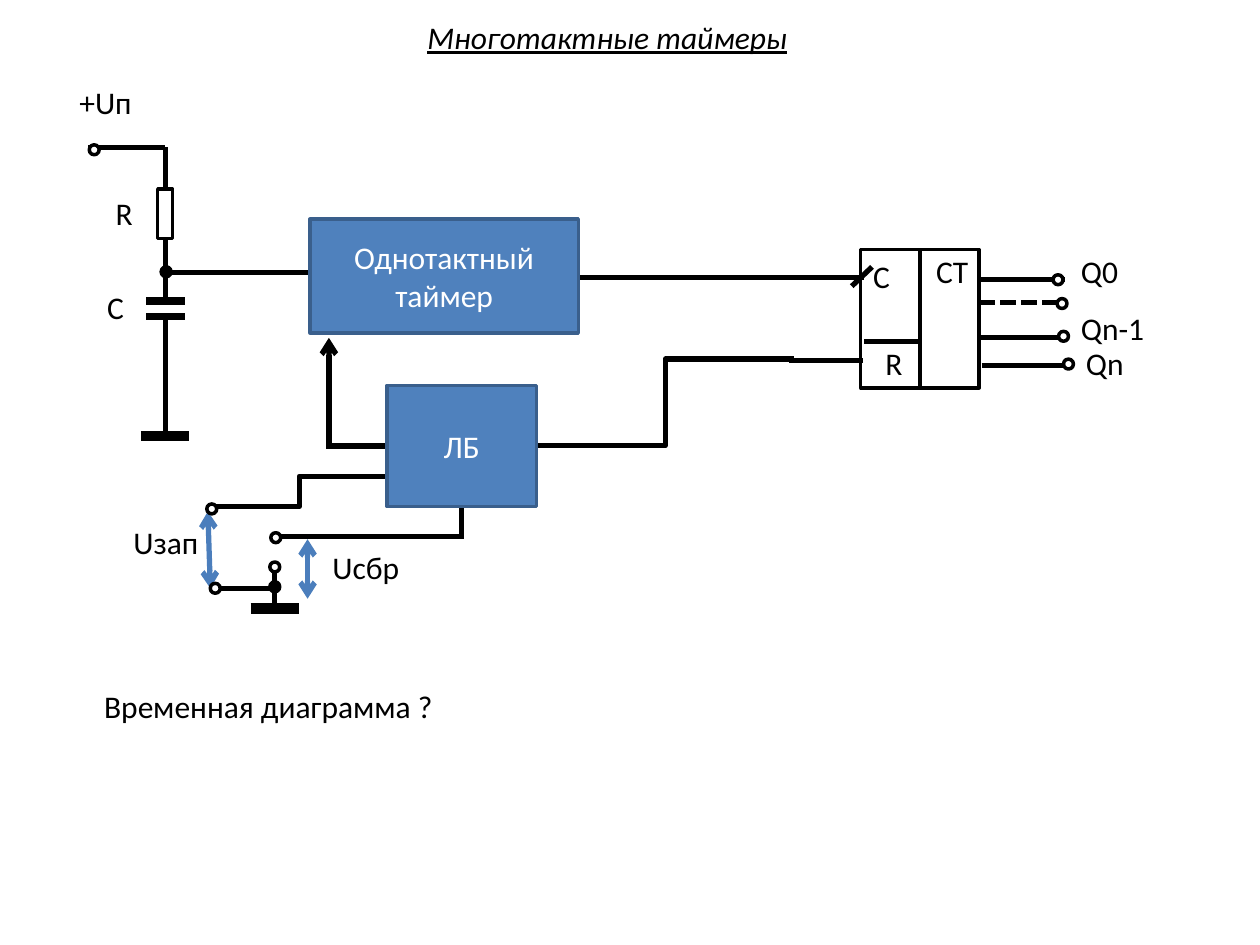
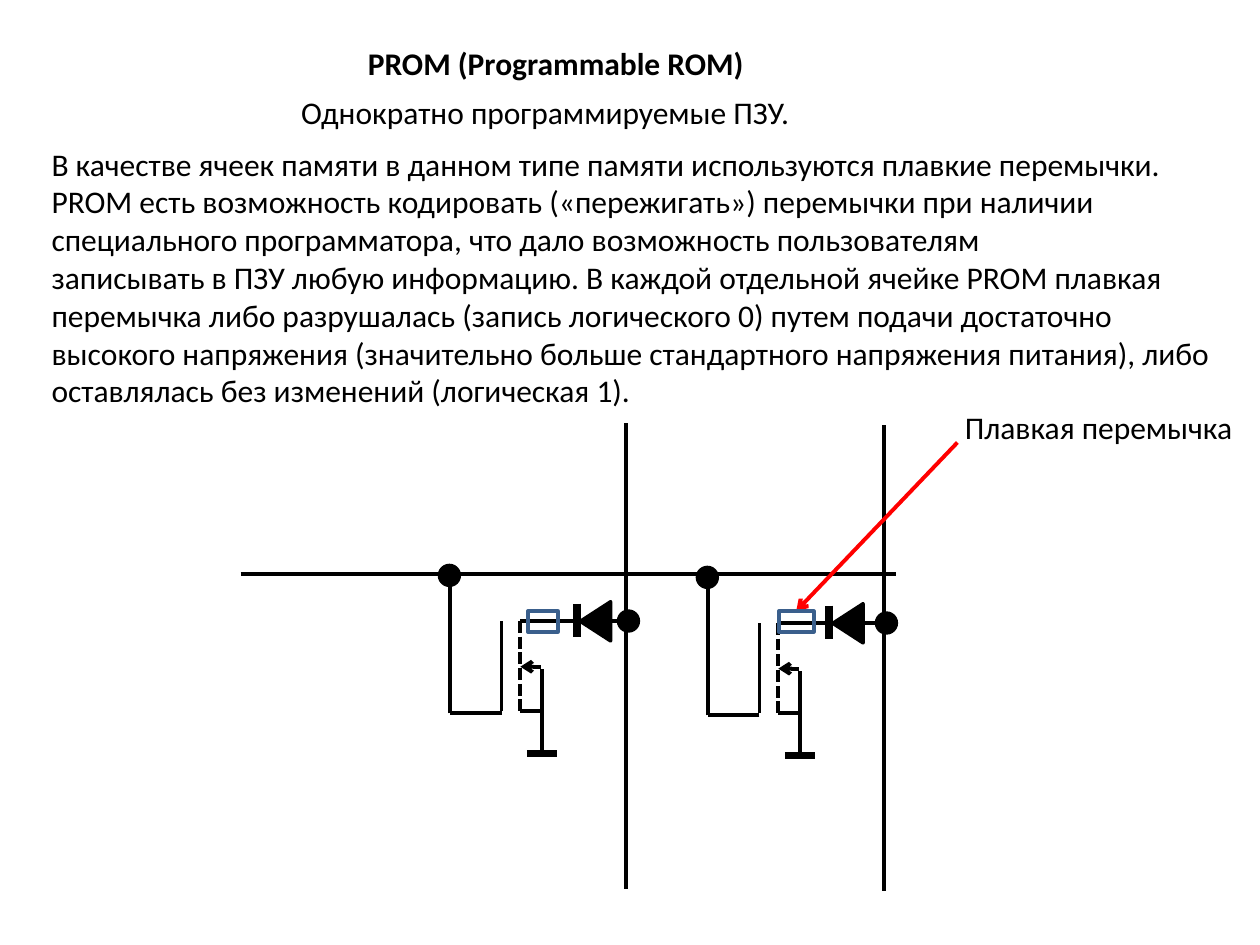
"""Builds two slides: a multi-cycle timer circuit and a PROM memory cell circuit."""
from dataclasses import dataclass

from lxml.etree import SubElement
from pptx import Presentation
from pptx.dml.color import RGBColor
from pptx.enum.dml import MSO_LINE
from pptx.enum.shapes import MSO_CONNECTOR, MSO_SHAPE
from pptx.enum.text import MSO_ANCHOR, MSO_AUTO_SIZE, PP_ALIGN
from pptx.oxml.ns import qn
from pptx.util import Cm, Pt


@dataclass(frozen=True)
class Theme:
    font: str = "Calibri"
    text_size: float = 18
    ink: str = "000000"
    paper: str = "FFFFFF"
    block: str = "4F81BD"
    block_edge: str = "3A5F8C"
    voltage: str = "4B7EBC"
    callout: str = "FF0000"
    outline: float = 2
    thin: float = 2.25
    thick: float = 3
    plate: float = 4.5
    ground: float = 6


theme = Theme()


def write(shape, text, color=theme.ink, bold=False, italic=False, underline=False,
          align=PP_ALIGN.LEFT, anchor=MSO_ANCHOR.TOP, wrap=False):
    frame = shape.text_frame
    frame.text = text
    frame.word_wrap = wrap
    frame.auto_size = MSO_AUTO_SIZE.NONE
    frame.vertical_anchor = anchor
    for paragraph in frame.paragraphs:
        paragraph.alignment = align
        for run in paragraph.runs:
            font = run.font
            font.name, font.size = theme.font, Pt(theme.text_size)
            font.bold, font.italic, font.underline = bold, italic, underline
            font.color.rgb = RGBColor.from_string(color)


def wire(slide, x1, y1, x2, y2, width=theme.thick, color=theme.ink,
         dashed=False, head=False, tail=False, kind=MSO_CONNECTOR.STRAIGHT):
    connector = slide.shapes.add_connector(kind, Cm(x1), Cm(y1), Cm(x2), Cm(y2))
    connector.line.width = Pt(width)
    connector.line.color.rgb = RGBColor.from_string(color)
    if dashed:
        connector.line.dash_style = MSO_LINE.SQUARE_DOT
    for end, wanted in (("a:headEnd", head), ("a:tailEnd", tail)):
        if wanted:
            SubElement(connector.line._ln, qn(end), type="arrow")
    SubElement(connector._element.spPr, qn("a:effectLst"))


presentation = Presentation()
presentation.slide_width, presentation.slide_height = Cm(25.4), Cm(19.05)
title_only = presentation.slide_layouts[5]
timer_slide = presentation.slides.add_slide(title_only)
prom_slide = presentation.slides.add_slide(title_only)

titles = [
    (timer_slide, "Многотактные таймеры", (8.36, 0.23, 7.85, 1.03),
     dict(italic=True, underline=True)),
    (prom_slide, "PROM (Programmable ROM)", (7.16, 0.76, 8.15, 1.03), dict(bold=True)),
]
for slide, text, box, style in titles:
    title = slide.shapes.title
    title.left, title.top, title.width, title.height = map(Cm, box)
    write(title, text, **style)

timer_wires = [
    (1.78, 2.97, 3.33, 2.97),
    (3.33, 2.97, 3.33, 3.81),
    (3.33, 4.8, 3.33, 6.07),
    (3.33, 6.38, 3.33, 8.79),
    (3.35, 5.49, 6.25, 5.49),
    (11.63, 5.59, 17.42, 5.59),
    (15.9, 7.26, 17.4, 7.26),
    (17.17, 5.77, 17.58, 5.38),
    (17.42, 6.88, 18.54, 6.88),
    (19.74, 5.64, 21.46, 5.64),
    (19.76, 6.81, 21.49, 6.81),
    (19.79, 7.37, 21.51, 7.37),
    (7.8, 8.99, 6.58, 8.99),
    (9.3, 10.21, 9.3, 10.87),
    (9.3, 10.82, 5.44, 10.82),
    (5.54, 11.46, 5.54, 12.27),
    (5.54, 11.86, 4.27, 11.86),
]
for points in timer_wires:
    wire(timer_slide, *points)
for plate_y in (6.07, 6.38):
    wire(timer_slide, 2.95, plate_y, 3.73, plate_y, width=theme.plate)
for ground_x, ground_y in ((2.84, 8.79), (5.05, 12.27)):
    wire(timer_slide, ground_x, ground_y, ground_x + 0.98, ground_y, width=theme.ground)
for points in ((7.8, 9.6, 4.27, 10.21), (10.82, 8.99, 16, 7.24)):
    wire(timer_slide, *points, kind=MSO_CONNECTOR.ELBOW)
for points in ((6.2, 10.87, 6.2, 12.07), (4.19, 10.31, 4.24, 11.86)):
    wire(timer_slide, *points, color=theme.voltage, head=True, tail=True)
wire(timer_slide, 6.63, 8.99, 6.63, 6.81, tail=True)
wire(timer_slide, 19.74, 6.1, 21.46, 6.1, dashed=True)
wire(timer_slide, 18.54, 5.03, 18.54, 7.85, width=theme.thin)

shapes = [
    (timer_slide, MSO_SHAPE.RECTANGLE, (3.18, 3.81, 0.3, 1), None, theme.ink, 0, ""),
    (timer_slide, MSO_SHAPE.RECTANGLE, (17.35, 5.03, 2.39, 2.79), None, theme.ink, 0, ""),
    (timer_slide, MSO_SHAPE.RECTANGLE, (6.25, 4.42, 5.41, 2.29),
     theme.block, theme.block_edge, 0, "Однотактный таймер"),
    (timer_slide, MSO_SHAPE.RECTANGLE, (7.8, 7.77, 3.02, 2.44),
     theme.block, theme.block_edge, 0, "ЛБ"),
]
terminals = [(1.8, 2.92), (4.17, 10.16), (5.46, 10.74), (5.44, 11.33), (4.24, 11.76),
             (21.23, 5.54), (21.31, 6.02), (21.34, 6.68), (21.44, 7.24)]
junctions = [(3.25, 5.38), (5.44, 11.73)]
for dots, fill in ((terminals, theme.paper), (junctions, theme.ink)):
    for x, y in dots:
        shapes.append((timer_slide, MSO_SHAPE.OVAL, (x, y, 0.2, 0.2), fill, theme.ink, 0, ""))

wire(prom_slide, 4.85, 11.58, 18.06, 11.58, width=theme.thin)
cell_wires = [
    (10.49, 14.33, 10.9, 14.33),
    (10.11, 12.52, 10.11, 14.33),
    (10.92, 13.49, 10.92, 15.19),
    (12.62, 8.53, 12.62, 17.93),
    (10.11, 14.38, 9.07, 14.38),
    (9.07, 14.38, 9.07, 11.58),
    (10.49, 12.52, 12.9, 12.52),
]
cells = [(0, 0, 10.64, 0.61, 0), (5.2, 0.04, 15.7, 0.71, -0.11)]
for dx, dy, fuse_x, fuse_width, diode_shift in cells:
    for x1, y1, x2, y2 in cell_wires:
        wire(prom_slide, x1 + dx, y1 + dy, x2 + dx, y2 + dy, width=theme.thin)
    wire(prom_slide, 10.49 + dx, 12.52 + dy, 10.49 + dx, 14.33 + dy,
         width=theme.thin, dashed=True)
    wire(prom_slide, 10.9 + dx, 13.44 + dy, 10.49 + dx, 13.44 + dy,
         width=theme.thin, tail=True)
    wire(prom_slide, 10.62 + dx, 15.19 + dy, 11.23 + dx, 15.19 + dy, width=theme.plate)
    diode_x = 11.63 + dx + diode_shift
    wire(prom_slide, diode_x, 12.17 + dy, diode_x, 12.85 + dy, width=theme.plate)
    for x, y in ((12.47, 12.32), (8.86, 11.4)):
        shapes.append((prom_slide, MSO_SHAPE.OVAL, (x + dx, y + dy, 0.4, 0.4),
                       theme.ink, theme.ink, 0, ""))
    shapes += [
        (prom_slide, MSO_SHAPE.RECTANGLE, (fuse_x, 12.32, fuse_width, 0.42),
         None, theme.block_edge, 0, ""),
        (prom_slide, MSO_SHAPE.ISOSCELES_TRIANGLE, (diode_x - 0.02, 12.22 + dy, 0.79, 0.61),
         theme.ink, theme.ink, 270, ""),
    ]
wire(prom_slide, 19.3, 8.92, 16.05, 12.32, width=theme.thin, color=theme.callout, tail=True)

for slide, kind, box, fill, edge, rotation, text in shapes:
    shape = slide.shapes.add_shape(kind, *map(Cm, box))
    shape.shadow.inherit = False
    shape.rotation = rotation
    shape.line.width = Pt(theme.outline)
    shape.line.color.rgb = RGBColor.from_string(edge)
    if fill:
        shape.fill.solid()
        shape.fill.fore_color.rgb = RGBColor.from_string(fill)
    else:
        shape.fill.background()
    if text:
        write(shape, text, color=theme.paper, align=PP_ALIGN.CENTER,
              anchor=MSO_ANCHOR.MIDDLE, wrap=True)

prom_description = (
    "В качестве ячеек памяти в данном типе памяти используются плавкие перемычки. "
    "PROM есть возможность кодировать («пережигать») перемычки при наличии "
    "специального программатора, что дало возможность пользователям\n"
    "записывать в ПЗУ любую информацию. В каждой отдельной ячейке PROM плавкая "
    "перемычка либо разрушалась (запись логического 0) путем подачи достаточно "
    "высокого напряжения (значительно больше стандартного напряжения питания), либо "
    "оставлялась без изменений (логическая 1)."
)
labels = [
    (timer_slide, "+Uп", 1.35, 1.55, 1.57, 1.03, False),
    (timer_slide, "R", 2.08, 3.78, 0.86, 1.03, False),
    (timer_slide, "C", 1.91, 5.69, 0.86, 1.03, False),
    (timer_slide, "C", 17.35, 5.05, 0.86, 1.03, False),
    (timer_slide, "R", 17.6, 6.81, 0.86, 1.03, False),
    (timer_slide, "CT", 18.62, 4.95, 1.17, 1.03, False),
    (timer_slide, "Q0", 21.54, 4.95, 1.27, 1.03, False),
    (timer_slide, "Qn-1", 21.54, 6.1, 1.8, 1.03, False),
    (timer_slide, "Qn", 21.64, 6.81, 1.3, 1.03, False),
    (timer_slide, "Uзап", 2.44, 10.41, 1.83, 1.03, False),
    (timer_slide, "Uсбр", 6.45, 10.92, 1.88, 1.03, False),
    (timer_slide, "Временная диаграмма ?", 1.85, 13.72, 7.21, 1.03, False),
    (prom_slide, "Однократно программируемые ПЗУ.", 5.82, 1.75, 10.9, 1.03, True),
    (prom_slide, prom_description, 0.79, 2.79, 24.41, 5.64, True),
    (prom_slide, "Плавкая перемычка", 19.2, 8.1, 5.97, 1.03, False),
]
for slide, text, left, top, width, height, wrap in labels:
    label = slide.shapes.add_textbox(Cm(left), Cm(top), Cm(width), Cm(height))
    write(label, text, wrap=wrap)

presentation.save("out.pptx")
